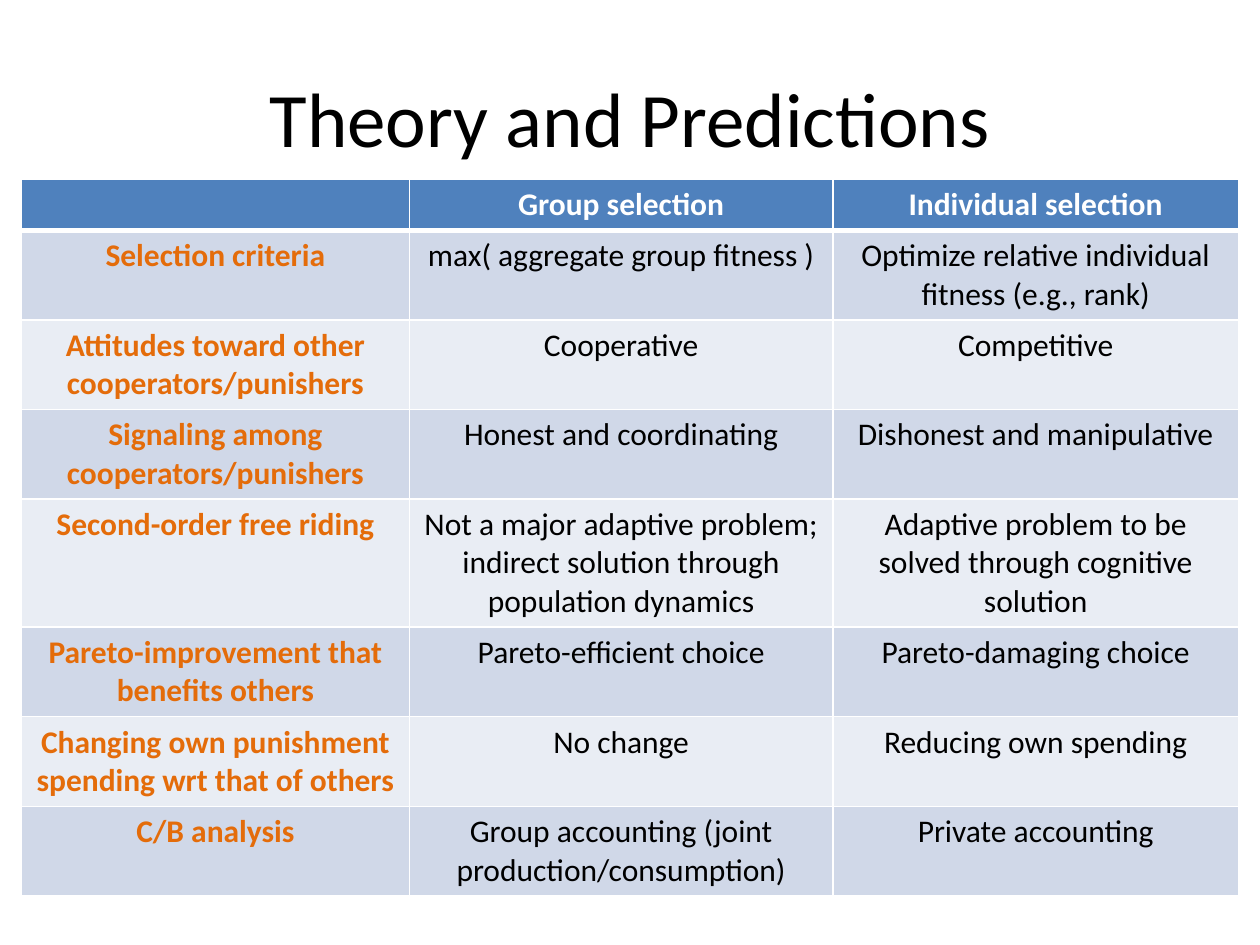
import dataclasses
import pptx
import pptx.util
import pptx.dml.color
import pptx.enum.text
import pptx.oxml
import pptx.oxml.ns
import lxml.etree

Inches = pptx.util.Inches


@dataclasses.dataclass
class Theme:
    """Colours, font and type sizes of the slide."""
    font: str = "Calibri"
    head: str = "4F81BD"
    odd: str = "D0D8E8"
    even: str = "E9EDF4"
    label: str = "E46C0A"
    dark: str = "000000"
    light: str = "FFFFFF"
    title: int = 44
    body: int = 18
    thin: int = 1
    thick: int = 3


class Deck:
    """Holds the theme and the current slide."""

    def __init__(self, theme):
        self.theme = theme
        self.file = pptx.Presentation()
        self.file.slide_width = Inches(10)
        self.file.slide_height = Inches(7.5)
        self.slide = self.file.slides.add_slide(self.file.slide_layouts[5])

    def label(self, frame, text, size, color, bold=False):
        frame.text = text
        para = frame.paragraphs[0]
        para.alignment = pptx.enum.text.PP_ALIGN.CENTER
        for run in para.runs:
            run.font.name = self.theme.font
            run.font.size = pptx.util.Pt(size)
            run.font.bold = bold
            run.font.color.rgb = pptx.dml.color.RGBColor.from_string(color)

    def title(self, text, left, top, width, height):
        shape = self.slide.shapes.title
        shape.left, shape.top = Inches(left), Inches(top)
        shape.width, shape.height = Inches(width), Inches(height)
        shape.text_frame.vertical_anchor = pptx.enum.text.MSO_ANCHOR.MIDDLE
        self.label(shape.text_frame, text, self.theme.title, self.theme.dark)

    def border(self, cell, widths):
        props = cell._tc.get_or_add_tcPr()
        name = pptx.oxml.ns.qn
        for spot, (side, width) in enumerate(widths.items()):
            line = lxml.etree.Element(name("a:ln" + side), w=str(pptx.util.Pt(width)))
            fill = lxml.etree.SubElement(line, name("a:solidFill"))
            lxml.etree.SubElement(fill, name("a:srgbClr"), val=self.theme.light)
            props.insert(spot, line)

    def cell(self, cell, text, row, col):
        look = self.theme
        if row == 0:
            fill, color = look.head, look.light
        else:
            fill = look.odd if row % 2 else look.even
            color = look.dark if col else look.label
        self.label(cell.text_frame, text, look.body, color, row == 0 or col == 0)
        cell.fill.solid()
        cell.fill.fore_color.rgb = pptx.dml.color.RGBColor.from_string(fill)
        top = look.thick if row == 1 else look.thin
        base = look.thick if row == 0 else look.thin
        self.border(cell, {"L": look.thin, "R": look.thin, "T": top, "B": base})

    def table(self, rows, left, top, widths, height):
        grid = self.slide.shapes.add_table(
            len(rows), len(widths), Inches(left), Inches(top),
            Inches(sum(widths)), Inches(height * len(rows))).table
        for col, width in zip(grid.columns, widths):
            col.width = Inches(width)
        for r, row in enumerate(rows):
            grid.rows[r].height = Inches(height)
            for c, text in enumerate(row):
                self.cell(grid.cell(r, c), text, r, c)


ROWS = [
    ("", "Group selection", "Individual selection"),
    ("Selection criteria", "max( aggregate group fitness )",
     "Optimize relative individual fitness (e.g., rank)"),
    ("Attitudes toward other cooperators/punishers", "Cooperative", "Competitive"),
    ("Signaling among cooperators/punishers", "Honest and coordinating",
     "Dishonest and manipulative"),
    ("Second-order free riding",
     "Not a major adaptive problem; indirect solution through population dynamics",
     "Adaptive problem to be solved through cognitive solution"),
    ("Pareto-improvement that benefits others", "Pareto-efficient choice",
     "Pareto-damaging choice"),
    ("Changing own punishment spending wrt that of others", "No change",
     "Reducing own spending"),
    ("C/B analysis", "Group accounting (joint production/consumption)",
     "Private accounting"),
]

deck = Deck(Theme())
deck.title("Theory and Predictions", 0.5, 0.3, 9, 1.25)
deck.table(ROWS, 0.17, 1.42, (3.08, 3.36, 3.22), 0.41)
deck.file.save("out.pptx")
